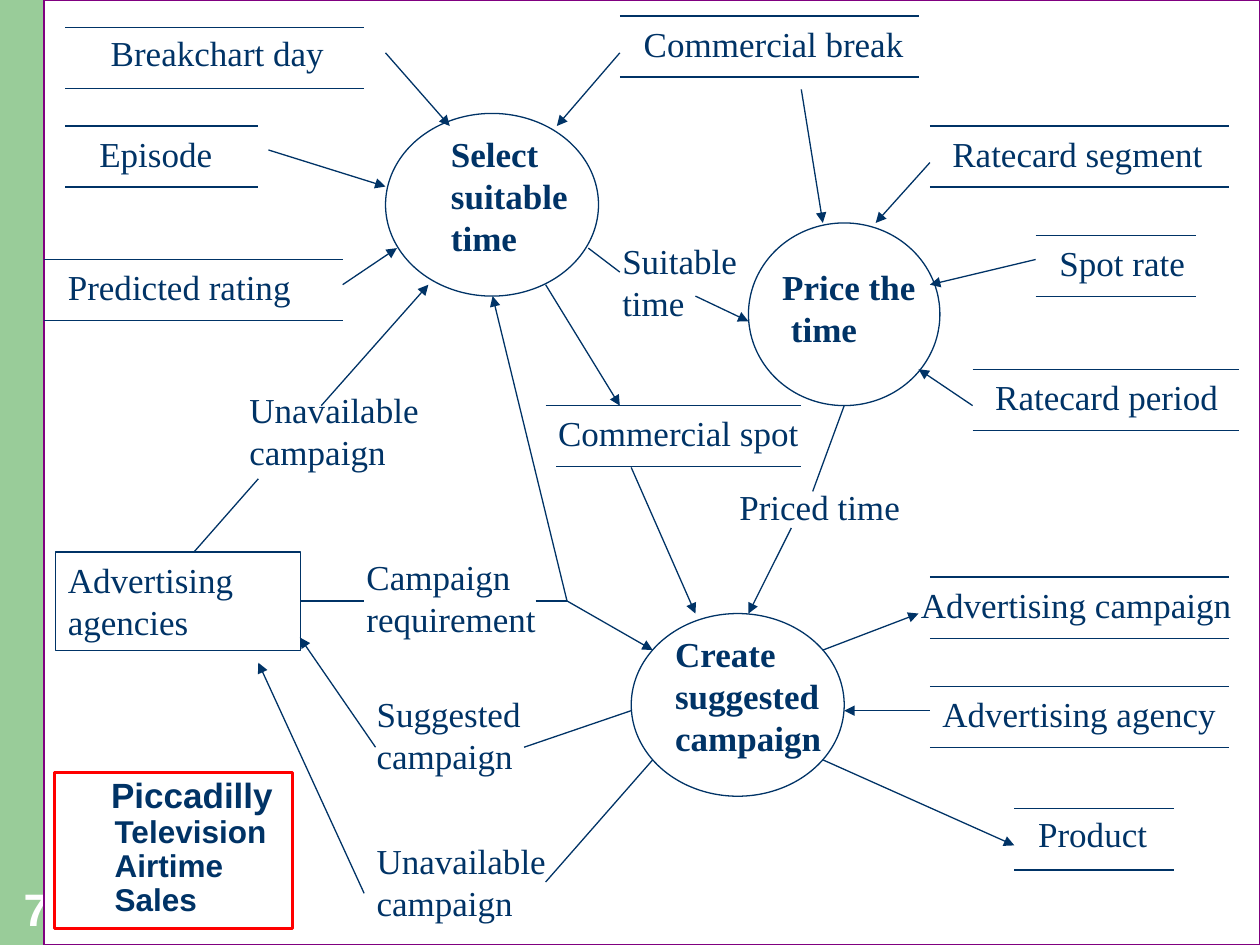
from dataclasses import dataclass

from lxml.etree import SubElement
from pptx import Presentation
from pptx.dml.color import RGBColor
from pptx.enum.shapes import MSO_CONNECTOR, MSO_SHAPE
from pptx.enum.text import MSO_ANCHOR
from pptx.oxml.ns import qn
from pptx.util import Pt

COLOURS = {"ink": "003366", "band": "99CC99", "panel": "FFFFFF",
           "frame": "800080", "title_frame": "FF0000"}
SERIF, SANS = "Times New Roman", "Arial"
RULE_GAP = 34.9
LINE_HEIGHT = 23
LINE_WIDTH = 0.75


@dataclass
class Label:
    text: str
    left: float
    top: float
    width: float
    lines: int = 2


@dataclass
class DataStore:
    """A name between two horizontal rules."""
    name: str
    text_left: float
    text_width: float
    rule_left: float
    rule_right: float
    top: float
    lift: float = 0
    lower_indent: float = 0


@dataclass
class Process:
    left: float
    top: float
    width: float
    label: Label


@dataclass
class Flow:
    x1: float
    y1: float
    x2: float
    y2: float
    arrow: bool = True


STORES = [
    DataStore("Breakchart day", 56.2, 170.6, 37.4, 208.1, 15.8, lift=1.4),
    DataStore("Episode", 49.7, 170.6, 37.4, 147.6, 72),
    DataStore("Predicted rating", 31.7, 170.6, 25.2, 195.8, 148.3),
    DataStore("Commercial break", 360.7, 195.1, 354.2, 524.9, 9.2),
    DataStore("Ratecard segment", 537.1, 164.2, 531.4, 702, 72),
    DataStore("Spot rate", 598.3, 103.7, 591.8, 683.3, 134.6),
    DataStore("Ratecard period", 561.6, 158.4, 555.8, 707.8, 211),
    DataStore("Commercial spot", 311.8, 164.2, 311.8, 457.9, 231.8, lower_indent=6.1),
    DataStore("Advertising campaign", 519.1, 195.1, 531.4, 702, 329.8),
    DataStore("Advertising agency", 531.4, 182.9, 531.4, 702, 392.4),
    DataStore("Product", 586.1, 85, 579.6, 671, 462.2, lift=1.4),
]
FLOW_LABELS = [
    Label("Unavailable campaign", 135.4, 218.2, 140.4),
    Label("Campaign requirement", 202.3, 313.9, 133.9),
    Label("Suggested campaign", 208.1, 392.4, 140.4),
    Label("Unavailable campaign", 208.1, 475.9, 140.4),
    Label("Suitable time", 348.5, 133.2, 85),
    Label("Priced time", 415.4, 273.6, 109.4, 1),
]
PROCESS_HEIGHT = 104.4
PROCESSES = [
    Process(220.3, 64.8, 121.7, Label("Select suitable time", 250.6, 72, 91.4, 3)),
    Process(427.7, 127.4, 109.4, Label("Price the\n time", 439.9, 148.3, 91.4)),
    Process(360.7, 350.6, 121.7, Label("Create suggested campaign", 378.7, 357.8, 103.7, 3)),
]
FLOWS = [
    Flow(220.3, 30.2, 257, 72),
    Flow(153.4, 85.7, 220.3, 106.6),
    Flow(195.8, 162.7, 226.8, 141.8),
    Flow(354.2, 30.2, 318.2, 72),
    Flow(531.4, 92.9, 500.4, 127.4),
    Flow(591.8, 148.3, 531.4, 162.7),
    Flow(555.8, 231.8, 524.9, 211),
    Flow(457.9, 51.1, 470.2, 127.4),
    Flow(336.2, 141.8, 354.2, 155.5, False),
    Flow(397.4, 169.2, 427.7, 183.6),
    Flow(110.9, 315.4, 147.6, 273.6, False),
    Flow(183.6, 231.8, 244.8, 162.7),
    Flow(531.4, 406.1, 482.4, 406.1),
    Flow(470.2, 371.5, 524.9, 350.6),
    Flow(470.2, 434.2, 579.6, 483.1),
    Flow(482.4, 231.8, 464.4, 280.8, False),
    Flow(452.2, 301.7, 427.7, 350.6),
    Flow(311.8, 162.7, 354.2, 231.8),
    Flow(360.7, 267.1, 397.4, 350.6),
    Flow(324, 343.4, 373, 371.5),
    Flow(306, 343.4, 324, 343.4, False),
    Flow(324, 343.4, 281.5, 169.2),
    Flow(299.5, 427, 360.7, 406.1, False),
    Flow(311.8, 504, 373, 434.2, False),
    Flow(214.6, 427, 171.4, 364.3),
    Flow(208.1, 510.5, 147.6, 378.7),
]


def colour(name: str) -> RGBColor:
    return RGBColor.from_string(COLOURS[name])


def add_run(paragraph, text: str, size: float, font: str, ink: str, bold: bool = False) -> None:
    run = paragraph.add_run()
    run.text = text
    run.font.size = Pt(size)
    run.font.name = font
    run.font.bold = bold
    run.font.color.rgb = colour(ink)


def add_outline(slide, kind, left: float, top: float, width: float, height: float,
                fill: str = "", line: str = "ink", line_width: float = LINE_WIDTH):
    """Add a preset shape; an empty fill or line name means none."""
    shape = slide.shapes.add_shape(kind, Pt(left), Pt(top), Pt(width), Pt(height))
    shape.shadow.inherit = False
    if fill:
        shape.fill.solid()
        shape.fill.fore_color.rgb = colour(fill)
    else:
        shape.fill.background()
    if line:
        shape.line.color.rgb = colour(line)
        shape.line.width = Pt(line_width)
    else:
        shape.line.fill.background()
    return shape


def add_label(slide, label: Label, bold: bool = False):
    height = LINE_HEIGHT * label.lines + 7.2
    box = slide.shapes.add_textbox(Pt(label.left), Pt(label.top), Pt(label.width), Pt(height))
    box.text_frame.word_wrap = True
    paragraph = box.text_frame.paragraphs[0]
    for number, line in enumerate(label.text.split("\n")):
        if number:
            paragraph.add_line_break()
        add_run(paragraph, line, 20, SERIF, "ink", bold)
    return box


def add_line(slide, flow: Flow):
    connector = slide.shapes.add_connector(
        MSO_CONNECTOR.STRAIGHT, Pt(flow.x1), Pt(flow.y1), Pt(flow.x2), Pt(flow.y2))
    connector.line.color.rgb = colour("ink")
    connector.line.width = Pt(LINE_WIDTH)
    if flow.arrow:
        SubElement(connector.line._get_or_add_ln(), qn("a:tailEnd"), type="triangle")
    SubElement(connector._element.spPr, qn("a:effectLst"))
    return connector


def add_store(slide, store: DataStore) -> None:
    add_label(slide, Label(store.name, store.text_left, store.top - store.lift,
                           store.text_width, 1))
    bottom = store.top + RULE_GAP
    add_line(slide, Flow(store.rule_left, store.top, store.rule_right, store.top, False))
    add_line(slide, Flow(store.rule_left + store.lower_indent, bottom,
                         store.rule_right, bottom, False))


def add_background(slide) -> None:
    add_outline(slide, MSO_SHAPE.RECTANGLE, 0, 0, 58.3, 540, "band", "")
    number = slide.shapes.add_textbox(Pt(6.5), Pt(499.7), Pt(46.1), Pt(38.2))
    number.text_frame.vertical_anchor = MSO_ANCHOR.BOTTOM
    add_run(number.text_frame.paragraphs[0], "70", 26, SANS, "panel", True)
    add_outline(slide, MSO_SHAPE.RECTANGLE, 25.2, 0, 694.8, 540, "panel", "frame")


def add_agencies(slide) -> None:
    """Add the external entity and the flow joined to its right side."""
    box = add_outline(slide, MSO_SHAPE.RECTANGLE, 31.7, 315.4, 140.2, 56.2)
    box.text_frame.word_wrap = True
    box.text_frame.vertical_anchor = MSO_ANCHOR.TOP
    paragraph = box.text_frame.paragraphs[0]
    paragraph.alignment = 1
    add_run(paragraph, "Advertising agencies", 20, SERIF, "ink")
    add_line(slide, Flow(171.9, 343.5, 208.1, 343.5, False)).begin_connect(box, 3)


def add_title(slide) -> None:
    box = add_outline(slide, MSO_SHAPE.RECTANGLE, 31, 441.4, 136.1, 89.3,
                      line="title_frame", line_width=2)
    box.text_frame.word_wrap = True
    box.text_frame.vertical_anchor = MSO_ANCHOR.TOP
    paragraph = box.text_frame.paragraphs[0]
    paragraph.alignment = 1
    paragraph.line_spacing = 0.9
    properties = paragraph._p.get_or_add_pPr()
    properties.set("marL", str(Pt(27.4)))
    properties.set("indent", str(Pt(-2)))
    add_run(paragraph, "Piccadilly ", 20, SANS, "ink", True)
    add_run(paragraph, "Television Airtime Sales", 18, SANS, "ink", True)


def main() -> None:
    presentation = Presentation()
    presentation.slide_width, presentation.slide_height = Pt(720), Pt(540)
    slide = presentation.slides.add_slide(presentation.slide_layouts[6])
    add_background(slide)
    add_agencies(slide)
    for store in STORES:
        add_store(slide, store)
    for label in FLOW_LABELS:
        add_label(slide, label)
    for process in PROCESSES:
        add_outline(slide, MSO_SHAPE.OVAL, process.left, process.top,
                    process.width, PROCESS_HEIGHT)
        add_label(slide, process.label, bold=True)
    for flow in FLOWS:
        add_line(slide, flow)
    add_title(slide)
    presentation.save("out.pptx")


if __name__ == "__main__":
    main()
